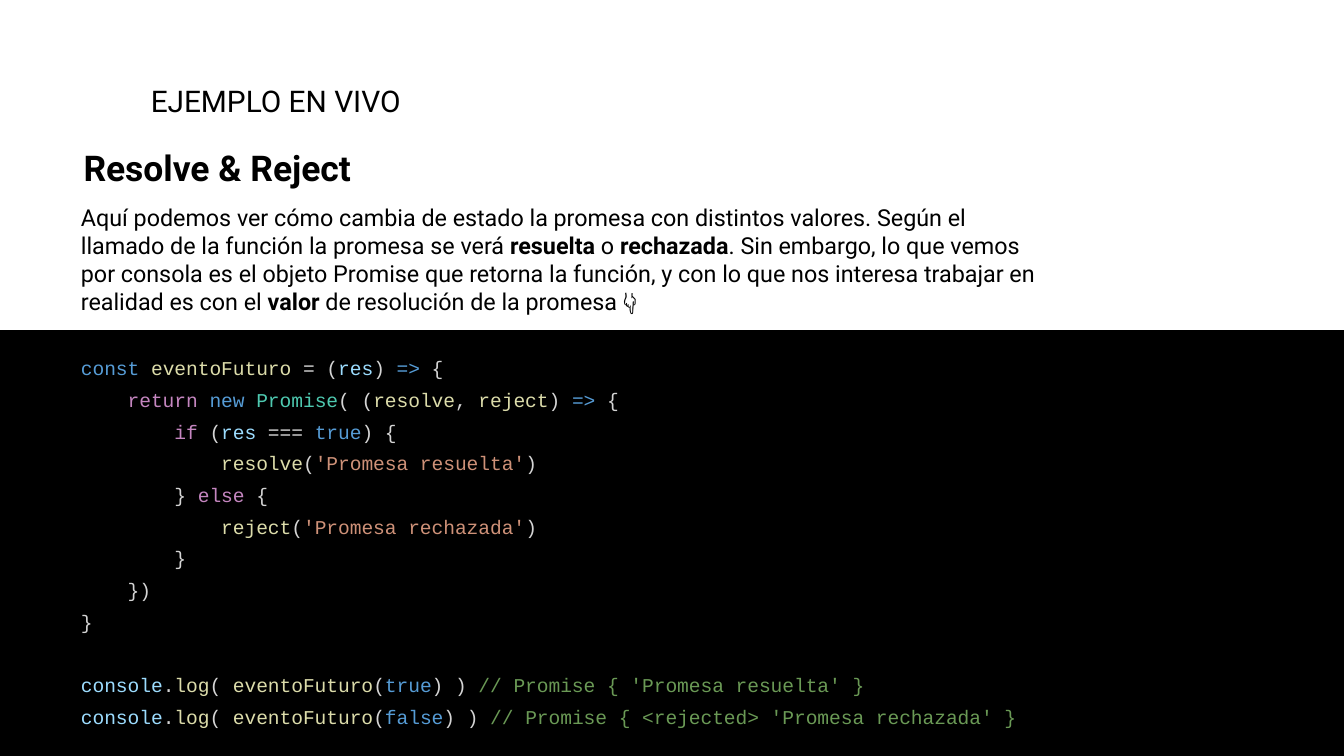
"""Build the live-example slide about resolving and rejecting a promise."""
from dataclasses import dataclass
from typing import NamedTuple

from pptx import Presentation
from pptx.dml.color import RGBColor as Rgb
from pptx.enum.shapes import MSO_SHAPE as Preset
from pptx.enum.text import MSO_ANCHOR as Anchor, PP_ALIGN as Align
from pptx.slide import Slide
from pptx.util import Cm, Pt


@dataclass(frozen=True)
class Theme:
    """Colours, fonts and sizes of the slide."""
    ink: str = "000000"
    panel: str = "000000"
    badge: str = "FFFFFF"
    plain: str = "D4D4D4"
    keyword: str = "569CD6"
    control: str = "C586C0"
    function: str = "DCDCAA"
    variable: str = "9CDCFE"
    type_name: str = "4EC9B0"
    string: str = "CE9178"
    remark: str = "6A9955"
    prose_font: str = "Roboto"
    code_font: str = "Courier New"
    kicker_size: float = 16
    heading_size: float = 19
    body_size: float = 12.5
    code_size: float = 10.5
    code_spacing: float = 1.35
    code_gap: float = 17
    inset: float = 0.26


class Piece(NamedTuple):
    """A stretch of text in one style."""
    text: str
    color: str
    bold: bool = False


class Line(NamedTuple):
    """A paragraph with the gap above it in points."""
    pieces: list[Piece]
    gap: float = 0


class Block(NamedTuple):
    """A text block with its place in centimetres and its type."""
    left: float
    top: float
    width: float
    height: float
    font: str
    size: float
    lines: list[Line]
    spacing: float = 1.0


class Backdrop(NamedTuple):
    """A plain filled shape with its place in centimetres."""
    preset: Preset
    left: float
    top: float
    width: float
    height: float
    fill: str
    outlined: bool


THEME = Theme()


def plain(text: str) -> Piece:
    """Return code punctuation or spacing."""
    return Piece(text, THEME.plain)


def keyword(text: str) -> Piece:
    """Return a language keyword or literal."""
    return Piece(text, THEME.keyword)


def control(text: str) -> Piece:
    """Return a control-flow word."""
    return Piece(text, THEME.control)


def function(text: str) -> Piece:
    """Return a function name."""
    return Piece(text, THEME.function)


def variable(text: str) -> Piece:
    """Return a variable name."""
    return Piece(text, THEME.variable)


def prose(text: str, bold: bool = False) -> Piece:
    """Return ordinary or bold prose."""
    return Piece(text, THEME.ink, bold)


def settle_line(name: str, message: str) -> Line:
    """Return the line that settles the promise with a message."""
    return Line([plain(" " * 12), function(name), plain("("),
                 Piece(f"'{message}'", THEME.string), plain(")")])


def log_line(argument: str, outcome: str, gap: float = 0) -> Line:
    """Return a console call followed by its outcome."""
    return Line([variable("console"), plain("."), function("log"), plain("( "),
                 function("eventoFuturo"), plain("("), keyword(argument), plain(") ) "),
                 Piece(f"// Promise {{ {outcome} }}", THEME.remark)], gap)


CODE = [
    Line([keyword("const "), function("eventoFuturo"), plain(" = ("), variable("res"),
          plain(") "), keyword("=>"), plain(" {")]),
    Line([plain(" " * 4), control("return "), keyword("new "),
          Piece("Promise", THEME.type_name), plain("( ("), function("resolve"), plain(", "),
          function("reject"), plain(") "), keyword("=>"), plain(" {")]),
    Line([plain(" " * 8), control("if"), plain(" ("), variable("res"), plain(" === "),
          keyword("true"), plain(") {")]),
    settle_line("resolve", "Promesa resuelta"),
    Line([plain("        } "), control("else"), plain(" {")]),
    settle_line("reject", "Promesa rechazada"),
    Line([plain("        }")]),
    Line([plain("    })")]),
    Line([plain("}")]),
    log_line("true", "'Promesa resuelta'", THEME.code_gap),
    log_line("false", "<rejected> 'Promesa rechazada'"),
]

EXPLANATION = [
    prose("Aquí podemos ver cómo cambia de estado la promesa con distintos valores. "
          "Según el llamado de la función la promesa se verá "),
    prose("resuelta", True),
    prose(" o "),
    prose("rechazada", True),
    prose(". Sin embargo, lo que vemos por consola es el objeto Promise que retorna la "
          "función, y con lo que nos interesa trabajar en realidad es con el "),
    prose("valor", True),
    prose(" de resolución de la promesa 👇"),
]

BACKDROPS = [
    Backdrop(Preset.RECTANGLE, 0, 6.25, 25.4, 8.04, THEME.panel, True),
    Backdrop(Preset.OVAL, 1.27, 1.3, 1.2, 1.2, THEME.badge, False),
]

BLOCKS = [
    Block(1.27, 6.32, 22.86, 7.67, THEME.code_font, THEME.code_size, CODE, THEME.code_spacing),
    Block(2.59, 1.3, 8.1, 1.2, THEME.prose_font, THEME.kicker_size,
          [Line([prose("EJEMPLO EN VIVO")])]),
    Block(1.32, 2.5, 10.82, 1.32, THEME.prose_font, THEME.heading_size,
          [Line([prose("Resolve & Reject", True)])]),
    Block(1.27, 3.59, 18.72, 2.64, THEME.prose_font, THEME.body_size, [Line(EXPLANATION)]),
]


def draw_backdrop(slide: Slide, backdrop: Backdrop) -> None:
    """Draw one filled shape."""
    shape = slide.shapes.add_shape(backdrop.preset, Cm(backdrop.left), Cm(backdrop.top),
                                   Cm(backdrop.width), Cm(backdrop.height))
    shape.shadow.inherit = False
    shape.fill.solid()
    shape.fill.fore_color.rgb = Rgb.from_string(backdrop.fill)
    if backdrop.outlined:
        shape.line.color.rgb = Rgb.from_string(backdrop.fill)
        shape.line.width = Pt(0.75)
    else:
        shape.line.fill.background()


def draw_block(slide: Slide, block: Block) -> None:
    """Draw one text block run by run."""
    frame = slide.shapes.add_textbox(
        Cm(block.left), Cm(block.top), Cm(block.width), Cm(block.height)).text_frame
    frame.word_wrap = True
    frame.vertical_anchor = Anchor.TOP
    frame.margin_left = frame.margin_right = Cm(THEME.inset)
    frame.margin_top = frame.margin_bottom = Cm(THEME.inset)
    for index, line in enumerate(block.lines):
        paragraph = frame.add_paragraph() if index else frame.paragraphs[0]
        paragraph.alignment = Align.LEFT
        paragraph.line_spacing = block.spacing
        if line.gap:
            paragraph.space_before = Pt(line.gap)
        for piece in line.pieces:
            run = paragraph.add_run()
            run.text = piece.text
            run.font.name, run.font.size = block.font, Pt(block.size)
            run.font.bold = piece.bold
            run.font.color.rgb = Rgb.from_string(piece.color)


deck = Presentation()
deck.slide_width, deck.slide_height = Cm(25.4), Cm(14.29)
live_example = deck.slides.add_slide(deck.slide_layouts[6])
for item in BACKDROPS:
    draw_backdrop(live_example, item)
for item in BLOCKS:
    draw_block(live_example, item)
deck.save("out.pptx")
